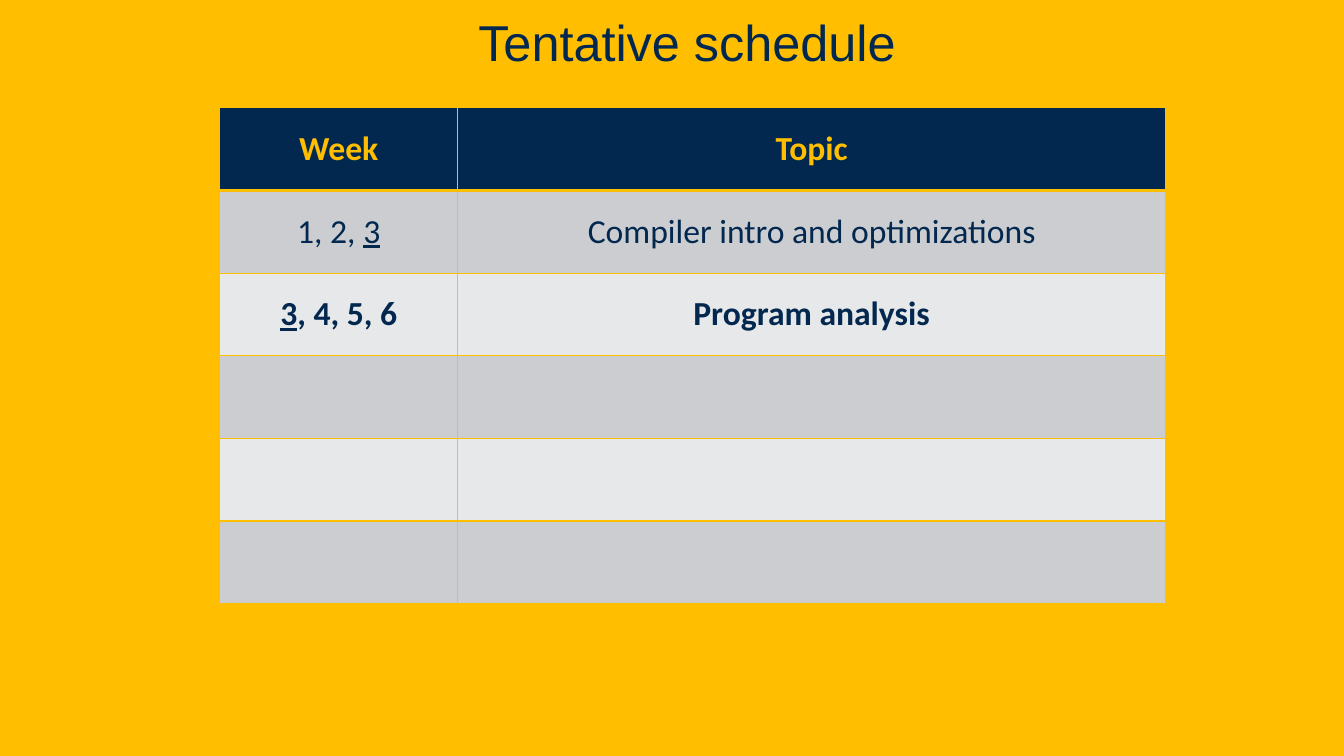
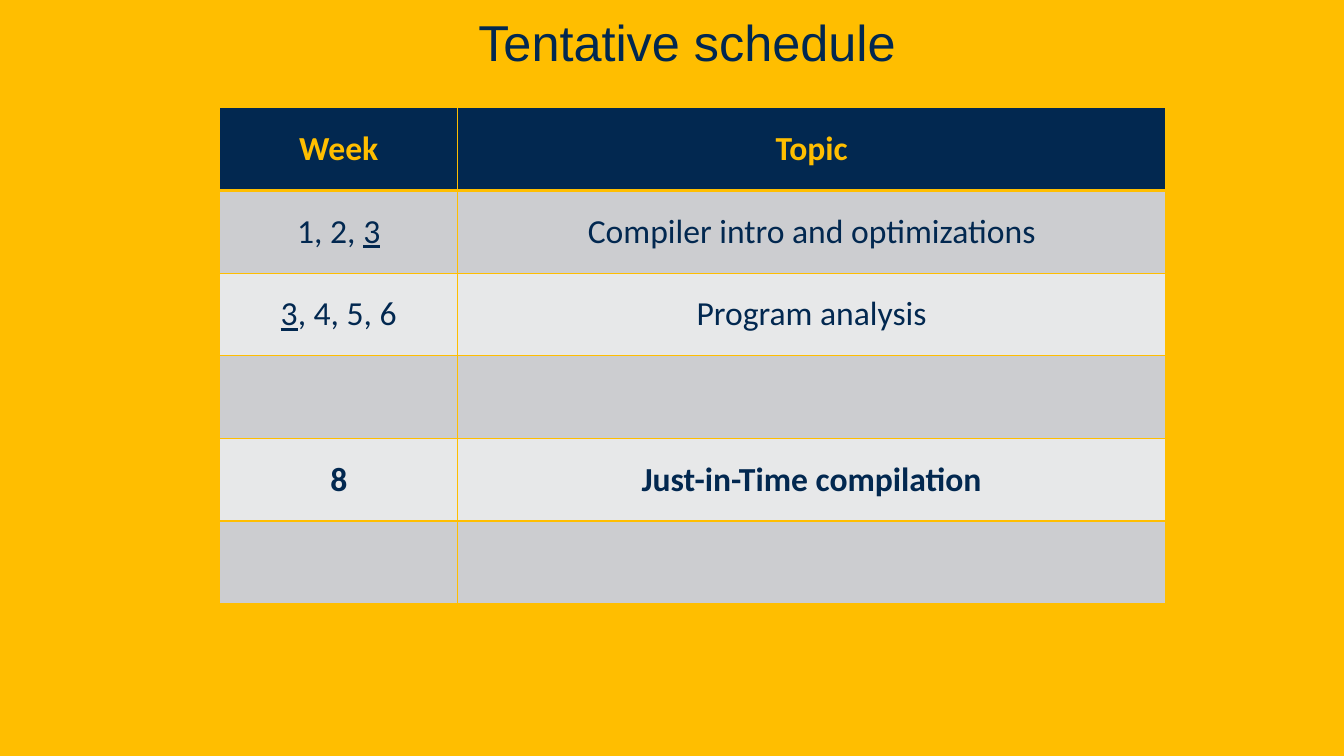
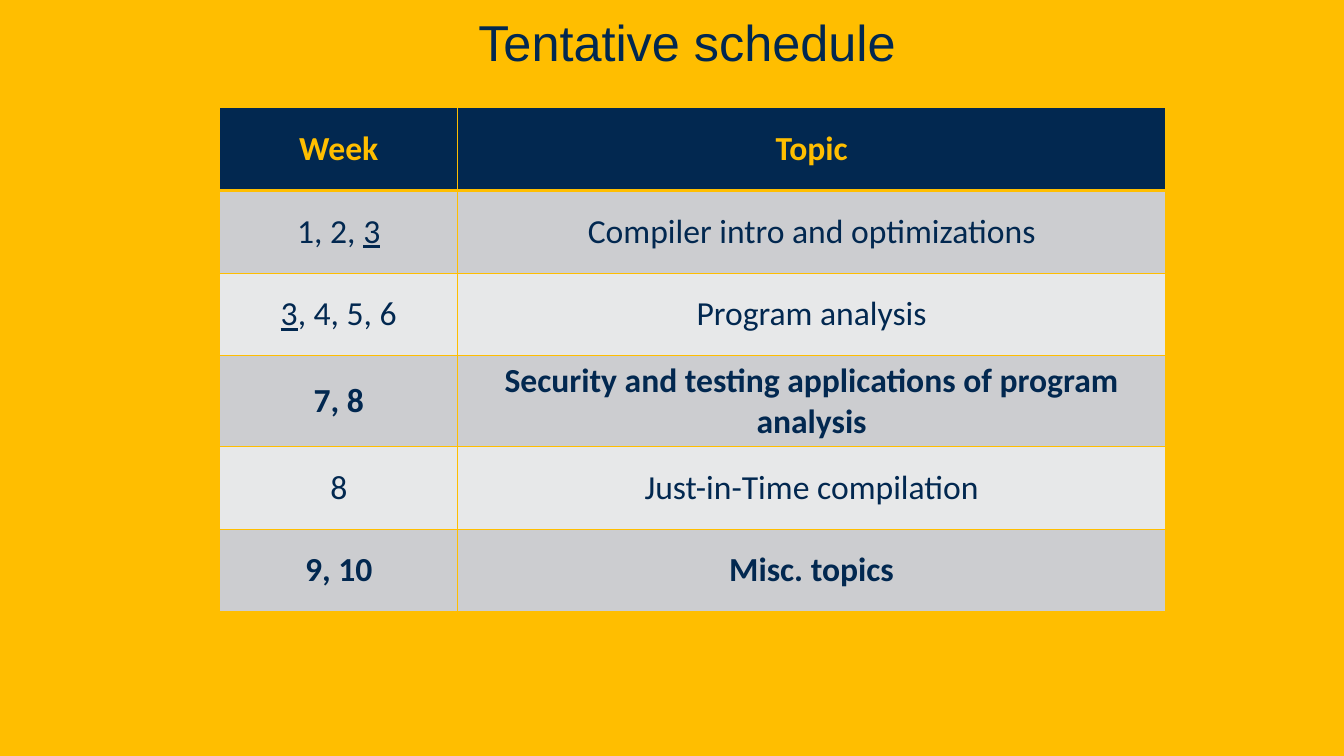
"""Build three slides that reveal a course schedule step by step."""
from lxml.etree import SubElement
from pptx import Presentation
from pptx.dml.color import RGBColor
from pptx.enum.text import MSO_ANCHOR, PP_ALIGN
from pptx.oxml.ns import qn
from pptx.util import Inches, Pt

HUES = {"gold": "FFBE00", "navy": "022850", "dark": "CCCDD0", "light": "E7E8E9"}
WIDE, HIGH = Inches(13.33), Inches(7.5)
COLS = [Inches(2.36), Inches(7.02)]
ROW = Inches(0.82)
HEAD = ("Week", "Topic")
PLAN = [
    ("1, 2, _3_", "Compiler intro and optimizations"),
    ("_3_, 4, 5, 6", "Program analysis"),
    ("7, 8", "Security and testing applications of program analysis"),
    ("8", "Just-in-Time compilation"),
    ("9, 10", "Misc. topics"),
]
STEPS = [
    {"shown": {0, 1}, "bold": {1}},
    {"shown": {0, 1, 3}, "bold": {3}},
    {"shown": {0, 1, 2, 3, 4}, "bold": {2, 4}},
]


def write(frame, text, font="Calibri", size=24, hue="navy", bold=False):
    """Write centred text, with parts between underscores underlined."""
    para = frame.paragraphs[0]
    para.alignment = PP_ALIGN.CENTER
    for spot, part in enumerate(text.split("_")):
        if part:
            run = para.add_run()
            run.text = part
            run.font.name, run.font.size = font, Pt(size)
            run.font.bold, run.font.underline = bold, spot % 2 == 1
            run.font.color.rgb = RGBColor.from_string(HUES[hue])
    return para


def paint(cell, hue, top=1, base=1):
    """Give a cell its gold borders and its fill."""
    props = cell._tc.get_or_add_tcPr()
    for side, width in (("L", 1), ("R", 1), ("T", top), ("B", base)):
        line = SubElement(props, qn("a:ln" + side), w=str(Pt(width)))
        fill = SubElement(line, qn("a:solidFill"))
        SubElement(fill, qn("a:srgbClr"), val=HUES["gold"])
    cell.fill.solid()
    cell.fill.fore_color.rgb = RGBColor.from_string(HUES[hue])
    cell.vertical_anchor = MSO_ANCHOR.MIDDLE


deck = Presentation()
deck.slide_width, deck.slide_height = WIDE, HIGH
back = deck.slide_master.background.fill
back.solid()
back.fore_color.rgb = RGBColor.from_string(HUES["gold"])

for step in STEPS:
    slide = deck.slides.add_slide(deck.slide_layouts[6])

    frame = slide.shapes.add_textbox(0, 0, WIDE, Inches(0.76)).text_frame
    frame.word_wrap = True
    frame.vertical_anchor = MSO_ANCHOR.BOTTOM
    title = write(frame, "Tentative schedule", font="Arial", size=36)
    title._p.get_or_add_pPr().set("marL", str(Inches(0.3)))

    count = len(PLAN) + 1
    table = slide.shapes.add_table(
        count, len(COLS), Inches(2.18), Inches(1.07), sum(COLS), count * ROW
    ).table
    for col, width in zip(table.columns, COLS):
        col.width = width
    for cell, text in zip(table.rows[0].cells, HEAD):
        paint(cell, "navy", base=3)
        write(cell.text_frame, text, hue="gold", bold=True)
    for num, pair in enumerate(PLAN):
        for cell, text in zip(table.rows[num + 1].cells, pair):
            paint(cell, "light" if num % 2 else "dark", top=1 if num else 3)
            if num in step["shown"]:
                write(cell.text_frame, text, bold=num in step["bold"])

deck.save("out.pptx")
